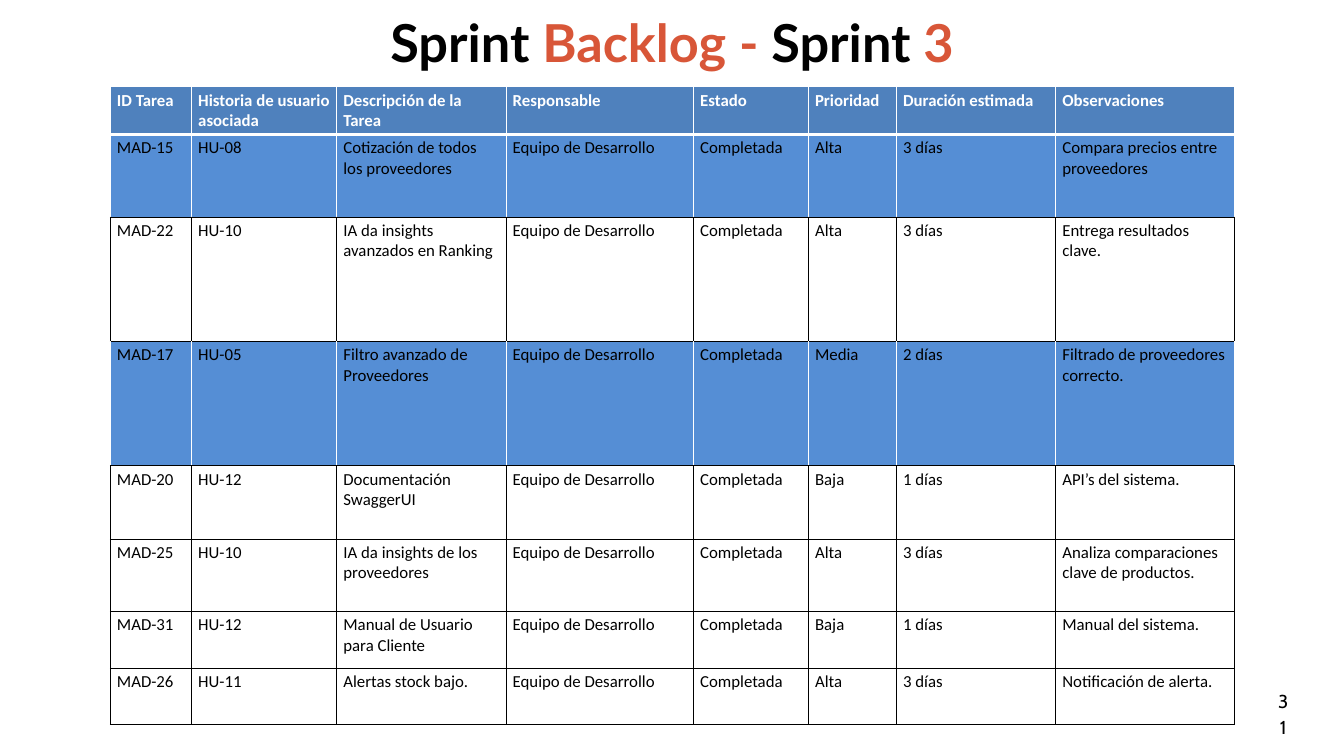
from lxml.etree import SubElement
from pptx import Presentation
from pptx.dml.color import RGBColor
from pptx.enum.text import MSO_ANCHOR, MSO_AUTO_SIZE, PP_ALIGN
from pptx.oxml.ns import qn
from pptx.util import Inches, Pt

BLACK, WHITE, RED = "000000", "FFFFFF", "D85638"
HEAD, BAND = "4F81BD", "558ED5"

TITLE = [("Sprint ", BLACK), ("Backlog - ", RED), ("Sprint", BLACK), (" 3", RED)]
PAGE = "31"
TEAM, DONE = "Equipo de Desarrollo", "Completada"
HEADS = ["ID Tarea", "Historia de usuario asociada", "Descripción de la Tarea",
         "Responsable", "Estado", "Prioridad", "Duración estimada", "Observaciones"]
# id, story, task, priority, duration, notes
TASKS = [
    ("MAD-15", "HU-08", "Cotización de todos los proveedores", "Alta", "3 días",
     "Compara precios entre proveedores"),
    ("MAD-22", "HU-10", "IA da insights avanzados en Ranking", "Alta", "3 días",
     "Entrega resultados clave."),
    ("MAD-17", "HU-05", "Filtro avanzado de Proveedores", "Media", "2 días",
     "Filtrado de proveedores correcto."),
    ("MAD-20", "HU-12", "Documentación SwaggerUI", "Baja", "1 días",
     "API’s del sistema."),
    ("MAD-25", "HU-10", "IA da insights de los proveedores", "Alta", "3 días",
     "Analiza comparaciones clave de productos."),
    ("MAD-31", "HU-12", "Manual de Usuario para Cliente", "Baja", "1 días",
     "Manual del sistema."),
    ("MAD-26", "HU-11", "Alertas stock bajo.", "Alta", "3 días",
     "Notificación de alerta."),
]
WIDTHS = [1.21, 2.16, 2.52, 2.79, 1.71, 1.31, 2.37, 2.66]
HEIGHTS = [0.64, 1.23, 1.85, 1.85, 1.09, 1.08, 0.84, 0.84]
BANDED = (1, 3)


def color(code):
    return RGBColor.from_string(code)


def write(frame, runs, font, size, bold=False, align=PP_ALIGN.LEFT, lead=None):
    """Fill the first paragraph with (text, colour) runs."""
    para = frame.paragraphs[0]
    para.alignment = align
    if lead:
        para.line_spacing = Pt(lead)
    for text, code in runs:
        run = para.add_run()
        run.text = text
        run.font.name, run.font.size, run.font.bold = font, Pt(size), bold
        run.font.color.rgb = color(code)


def place(shape, left, top, width, height):
    """Set position and strip the insets of a text shape."""
    shape.left, shape.top = Inches(left), Inches(top)
    shape.width, shape.height = Inches(width), Inches(height)
    frame = shape.text_frame
    frame.margin_left = frame.margin_right = 0
    frame.margin_top = frame.margin_bottom = 0
    frame.word_wrap = True
    frame.auto_size = MSO_AUTO_SIZE.NONE
    frame.vertical_anchor = MSO_ANCHOR.TOP
    return frame


def border(cell, **sides):
    """Draw cell edges; sides L, R, T, B in that order, each (colour, points)."""
    props = cell._tc.get_or_add_tcPr()
    for side, (code, width) in sides.items():
        line = SubElement(props, qn("a:ln" + side), w=str(Pt(width)))
        SubElement(SubElement(line, qn("a:solidFill")), qn("a:srgbClr"), val=code)


def style(cell, row):
    """Give a cell the fill and edges of its row."""
    thin, dark = (WHITE, 1), (BLACK, 1)
    if row == 0:
        border(cell, L=thin, R=thin, T=thin, B=(WHITE, 3))
    elif row in BANDED:
        border(cell, L=thin, R=thin, T=thin if row == 1 else dark, B=dark)
    else:
        border(cell, L=dark, R=dark, T=dark, B=dark)
        cell.fill.background()
        return
    cell.fill.solid()
    cell.fill.fore_color.rgb = color(BAND if row else HEAD)


def add_backlog(slide):
    rows = [HEADS] + [(code, story, task, TEAM, DONE, *rest)
                      for code, story, task, *rest in TASKS]
    table = slide.shapes.add_table(
        len(rows), len(HEADS), Inches(1.64), Inches(1.29),
        Inches(sum(WIDTHS)), Inches(sum(HEIGHTS))).table
    table.horz_banding = False
    for col, width in zip(table.columns, WIDTHS):
        col.width = Inches(width)
    for r, (texts, height) in enumerate(zip(rows, HEIGHTS)):
        table.rows[r].height = Inches(height)
        for c, text in enumerate(texts):
            cell = table.cell(r, c)
            style(cell, r)
            write(cell.text_frame, [(text, BLACK if r else WHITE)],
                  "Calibri", 18, bold=r == 0)


def main():
    deck = Presentation()
    deck.slide_width, deck.slide_height = Inches(20), Inches(11.25)
    slide = deck.slides.add_slide(deck.slide_layouts[5])
    write(place(slide.shapes.title, 4.75, 0, 10.5, 1.05), TITLE, "Lato", 56,
          bold=True, align=PP_ALIGN.CENTER, lead=78.4)
    page = slide.shapes.add_textbox(0, 0, 0, 0)
    write(place(page, 19.01, 10.21, 0.17, 0.22), [(PAGE, BLACK)], "Cabin", 20,
          align=PP_ALIGN.CENTER, lead=28)
    add_backlog(slide)
    deck.save("out.pptx")


if __name__ == "__main__":
    main()
